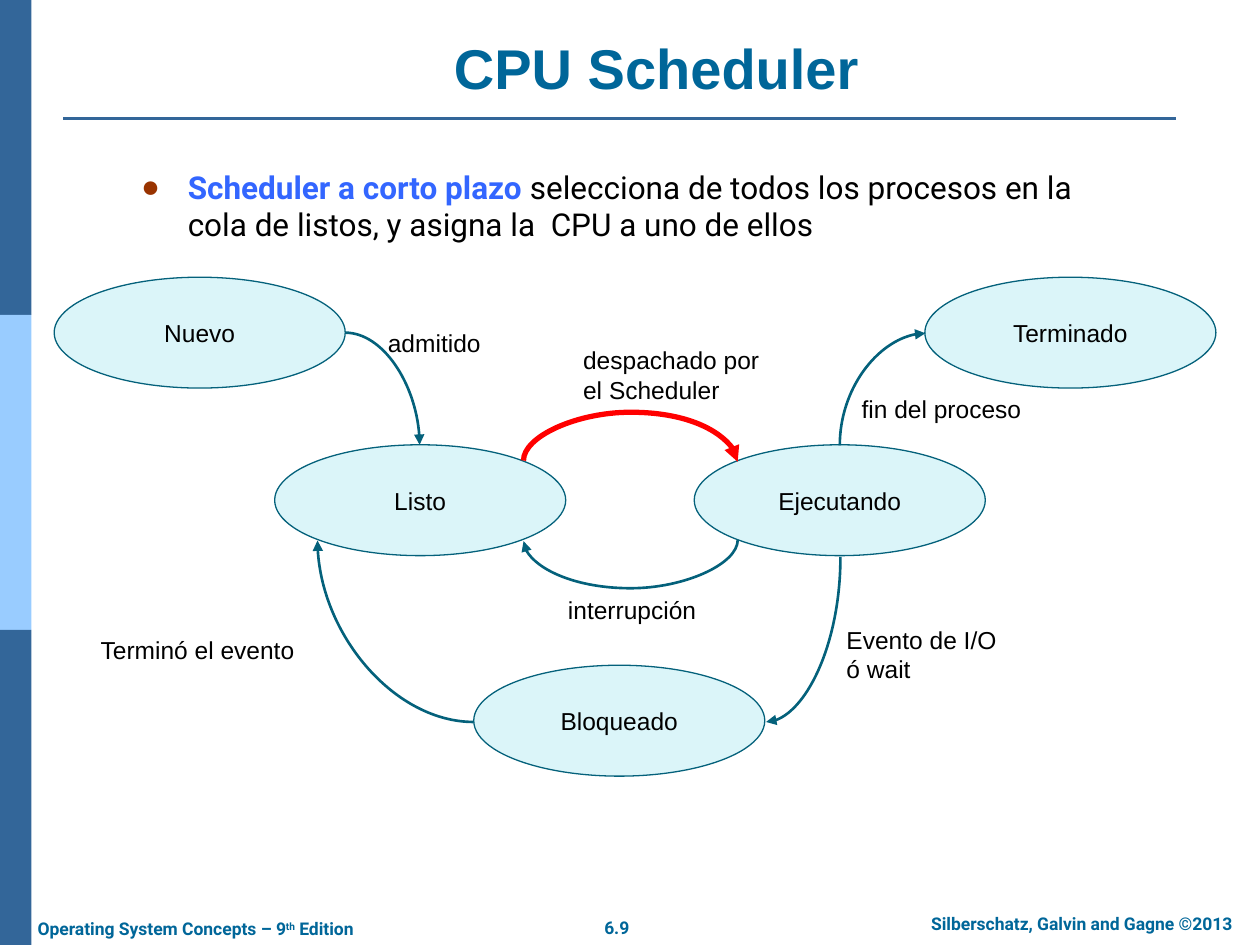
import lxml.etree
import pptx
import pptx.dml.color
import pptx.enum.shapes
import pptx.enum.text
import pptx.oxml.ns
import pptx.util

Inches = pptx.util.Inches
Pt = pptx.util.Pt
qn = pptx.oxml.ns.qn
SHAPES = pptx.enum.shapes.MSO_SHAPE
ANCHOR = pptx.enum.text.MSO_ANCHOR
ALIGN = pptx.enum.text.PP_ALIGN
LEFT, CENTER = ALIGN.LEFT, ALIGN.CENTER
TEAL = "04617B"
BLUE = "336699"
TITLE_BLUE = "006699"


def color(hex_string):
    return pptx.dml.color.RGBColor.from_string(hex_string)


def write_text(shape, paragraphs, size, font, hex_string, bold=False,
               align=LEFT, anchor=ANCHOR.TOP, vertical_margin=0.05):
    frame = shape.text_frame
    frame.word_wrap = True
    frame.auto_size = pptx.enum.text.MSO_AUTO_SIZE.NONE
    frame.vertical_anchor = anchor
    frame.margin_left = frame.margin_right = Inches(0.1)
    frame.margin_top = frame.margin_bottom = Inches(vertical_margin)
    for index, texts in enumerate(paragraphs):
        paragraph = frame.add_paragraph() if index else frame.paragraphs[0]
        paragraph.alignment = align
        paragraph.space_before = Pt(0)
        for text in texts:
            run = paragraph.add_run()
            run.text = text
            run.font.size = Pt(size)
            run.font.name = font
            run.font.bold = bold
            run.font.color.rgb = color(hex_string)


presentation = pptx.Presentation()
presentation.slide_width = Inches(10)
presentation.slide_height = Inches(7.5)
slide = presentation.slides.add_slide(presentation.slide_layouts[1])
shapes = slide.shapes

for index, fill in enumerate([BLUE, "99CCFF", BLUE]):
    band = shapes.add_shape(SHAPES.RECTANGLE, 0, Inches(2.5 * index), Inches(0.25), Inches(2.5))
    band.shadow.inherit = False
    band.fill.solid()
    band.fill.fore_color.rgb = color(fill)
    band.line.fill.background()

rule = shapes.add_connector(pptx.enum.shapes.MSO_CONNECTOR.STRAIGHT,
                            Inches(0.5), Inches(0.94), Inches(9.33), Inches(0.94))
rule.line.color.rgb = color(BLUE)
rule.line.width = Pt(1.5)
lxml.etree.SubElement(rule._element.spPr, qn("a:effectLst"))

footers = [
    (4.65, 7.23, 0.49, CENTER, ["6.9"]),
    (7.1, 7.2, 2.97, CENTER, ["Silberschatz, Galvin and Gagne ©2013"]),
    (0.2, 7.24, 2.89, LEFT, ["Operating System Concepts – 9", "th", " Edition"]),
]
for left, top, width, align, texts in footers:
    footer = shapes.add_textbox(Inches(left), Inches(top), Inches(width), Inches(0.27))
    write_text(footer, [texts], 10, "Roboto", TITLE_BLUE, True, align)
superscript = footer.text_frame.paragraphs[0].runs[1]
superscript._r.get_or_add_rPr().set("baseline", "30000")

title = shapes.title
title.left, title.top, title.width, title.height = map(Inches, (0.92, 0.22, 8.58, 0.63))
write_text(title, [["CPU Scheduler"]], 32, "Arial", TITLE_BLUE, True, CENTER, ANCHOR.BOTTOM)

body = slide.placeholders[1]
body.left, body.top, body.width, body.height = map(Inches, (1.02, 1.28, 7.73, 5.23))
write_text(body, [["Scheduler a corto plazo ",
                   "selecciona de todos los procesos en la cola de listos, y asigna la  CPU a uno de ellos"]],
           18, "Roboto", "000000")
paragraph = body.text_frame.paragraphs[0]
paragraph.runs[0].font.bold = True
paragraph.runs[0].font.color.rgb = color("3366FF")
properties = paragraph._p.get_or_add_pPr()
properties.set("marL", str(Inches(0.37)))
properties.set("indent", str(-Inches(0.37)))
bullet_color = lxml.etree.SubElement(properties, qn("a:buClr"))
lxml.etree.SubElement(bullet_color, qn("a:srgbClr"), val="993300")
lxml.etree.SubElement(properties, qn("a:buFont"), typeface="Arial")
lxml.etree.SubElement(properties, qn("a:buChar"), char="●")

states = {}
for name, left, top in [("Nuevo", 0.43, 2.2), ("Listo", 2.18, 3.53), ("Ejecutando", 5.51, 3.53),
                        ("Terminado", 7.34, 2.2), ("Bloqueado", 3.76, 5.28)]:
    state = shapes.add_shape(SHAPES.OVAL, Inches(left), Inches(top), Inches(2.31), Inches(0.88))
    state.shadow.inherit = False
    state.fill.solid()
    state.fill.fore_color.rgb = color("DBF5F9")
    state.line.color.rgb = color(TEAL)
    state.line.width = Pt(0.75)
    write_text(state, [[name]], 14, "Arial", "000000", False, CENTER, ANCHOR.MIDDLE, 0.1)
    states[name] = state

TOP, LEFT_SIDE, BOTTOM_LEFT, BOTTOM, BOTTOM_RIGHT, RIGHT, TOP_RIGHT = 0, 2, 3, 4, 5, 6, 7
TOP_LEFT = 1
transitions = [
    ("Nuevo", RIGHT, "Listo", TOP, (2.74, 2.64, 0.59, 0.89), 0, False, None, TEAL, 1.5),
    ("Listo", TOP_RIGHT, "Ejecutando", TOP_LEFT, (5, 2.81, 0.01, 1.7), 270, True, -39, "FF0000", 3),
    ("Ejecutando", BOTTOM_LEFT, "Listo", BOTTOM_RIGHT, (5, 3.44, 0.01, 1.7), 90, False, 39, TEAL, 1.5),
    ("Ejecutando", BOTTOM, "Bloqueado", RIGHT, (5.72, 4.78, 1.31, 0.59), 90, False, None, TEAL, 1.5),
    ("Bloqueado", LEFT_SIDE, "Listo", BOTTOM_LEFT, (2.52, 4.29, 1.24, 1.44), 180, False, None, TEAL, 1.5),
    ("Ejecutando", TOP, "Terminado", LEFT_SIDE, (6.56, 2.75, 0.89, 0.68), 270, False, None, TEAL, 1.5),
]
for source, source_site, target, target_site, box, rotation, flip, bend, line_color, width in transitions:
    left, top, box_width, box_height = map(Inches, box)
    arrow = shapes.add_connector(pptx.enum.shapes.MSO_CONNECTOR.CURVE,
                                 left, top, left + box_width, top + box_height)
    arrow.line.color.rgb = color(line_color)
    arrow.line.width = Pt(width)
    lxml.etree.SubElement(arrow.line._get_or_add_ln(), qn("a:tailEnd"), type="triangle")
    lxml.etree.SubElement(arrow._element.spPr, qn("a:effectLst"))
    transform = arrow._element.spPr.find(qn("a:xfrm"))
    transform.set("rot", str(rotation * 60000))
    if flip:
        transform.set("flipH", "1")
    geometry = arrow._element.spPr.find(qn("a:prstGeom"))
    if bend is None:
        geometry.set("prst", "curvedConnector2")
    else:
        lxml.etree.SubElement(geometry.find(qn("a:avLst")), qn("a:gd"),
                              name="adj1", fmla=f"val {bend * 100000}")
    links = arrow._element.find(".//" + qn("p:cNvCxnSpPr"))
    for tag, name, site in [("a:stCxn", source, source_site), ("a:endCxn", target, target_site)]:
        lxml.etree.SubElement(links, qn(tag), id=str(states[name].shape_id), idx=str(site))

labels = [
    (2.98, 2.5, 1.05, 0.5, ["admitido"]),
    (4.41, 4.62, 1.57, 0.39, ["interrupción"]),
    (4.53, 2.64, 1.7, 0.75, ["despachado por el Scheduler"]),
    (6.62, 4.86, 1.57, 0.42, ["Evento de I/O", "ó wait"]),
    (0.7, 4.94, 2.19, 0.3, ["Terminó el evento"]),
    (6.74, 3.03, 1.7, 0.39, ["fin del proceso"]),
]
for left, top, width, height, lines in labels:
    label = shapes.add_textbox(Inches(left), Inches(top), Inches(width), Inches(height))
    write_text(label, [[line] for line in lines], 14, "Arial", "000000", vertical_margin=0.1)

presentation.save("out.pptx")
